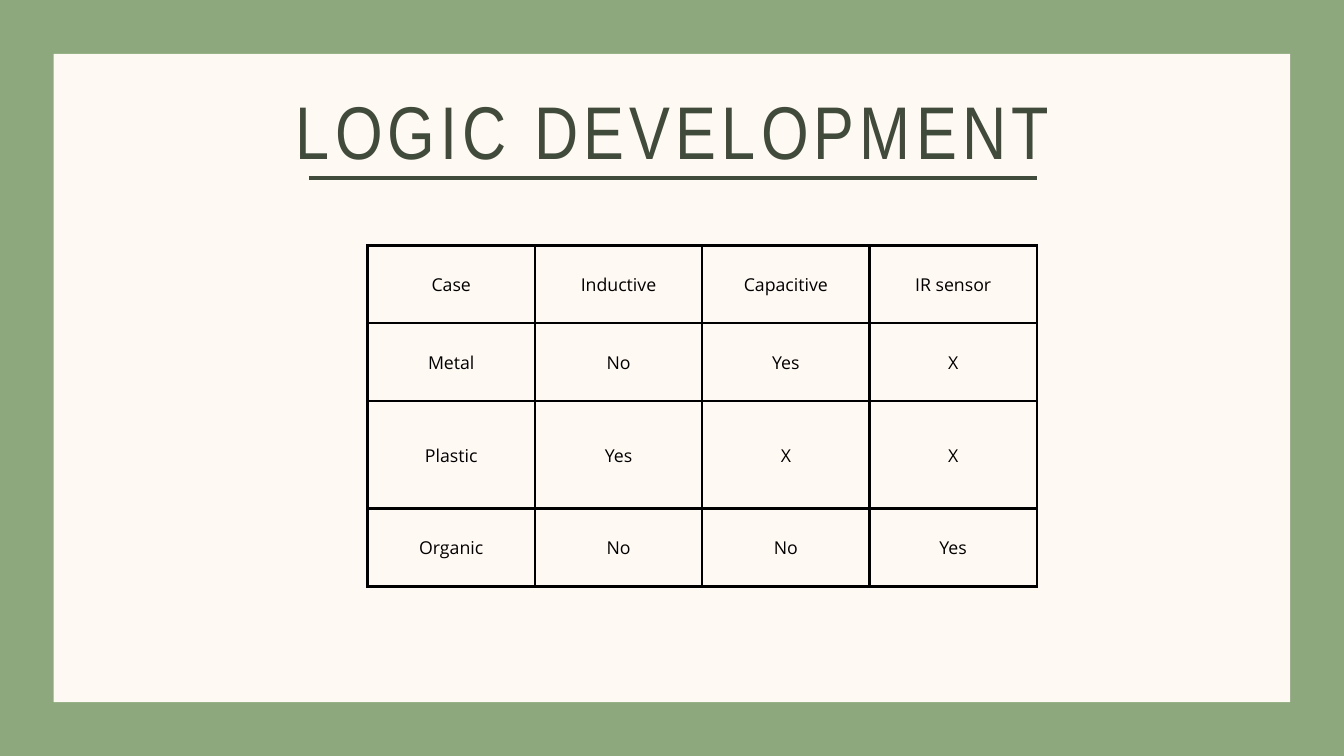
from lxml.etree import SubElement
from pptx import Presentation
from pptx.dml.color import RGBColor
from pptx.enum.shapes import MSO_CONNECTOR, MSO_SHAPE
from pptx.enum.text import MSO_ANCHOR, MSO_AUTO_SIZE, PP_ALIGN
from pptx.oxml.ns import qn
from pptx.util import Inches, Pt

COLORS = {"frame": "8CA87C", "panel": "FFF9F3", "title": "414B3B", "ink": "000000"}
CASES = [
    ["Case", "Inductive", "Capacitive", "IR sensor"],
    ["Metal", "No", "Yes", "X"],
    ["Plastic", "Yes", "X", "X"],
    ["Organic", "No", "No", "Yes"],
]
COLUMN_WIDTH = 2.49
ROW_HEIGHTS = [1.16, 1.16, 1.6, 1.16]


def color(name):
    return RGBColor.from_string(COLORS[name])


def set_margins(target, inches):
    target.margin_left = target.margin_right = Inches(inches)
    target.margin_top = target.margin_bottom = Inches(inches)


def write_centred(frame, text, font, size, ink, leading):
    para = frame.paragraphs[0]
    para.alignment = PP_ALIGN.CENTER
    para.line_spacing = Pt(leading)
    span = para.add_run()
    span.text = text
    span.font.name = font
    span.font.size = Pt(size)
    span.font.color.rgb = color(ink)
    return span


def add_panel(page):
    panel = page.shapes.add_shape(
        MSO_SHAPE.RECTANGLE, Inches(0.8), Inches(0.8), Inches(18.4), Inches(9.65))
    panel.shadow.inherit = False
    panel.fill.solid()
    panel.fill.fore_color.rgb = color("panel")
    panel.line.fill.background()


def add_title(page, text):
    box = page.shapes.add_textbox(Inches(3.64), Inches(1.4), Inches(12.75), Inches(1.23))
    frame = box.text_frame
    frame.word_wrap = True
    frame.auto_size = MSO_AUTO_SIZE.SHAPE_TO_FIT_TEXT
    set_margins(frame, 0)
    span = write_centred(frame, text, "Arial Narrow", 80, "title", 86.4)
    span.font._element.set("spc", "560")


def add_underline(page):
    rule = page.shapes.add_connector(
        MSO_CONNECTOR.STRAIGHT, Inches(4.6), Inches(2.65), Inches(15.43), Inches(2.65))
    rule.line.color.rgb = color("title")
    rule.line.width = Pt(3.75)
    SubElement(rule._element.spPr, qn("a:effectLst"))


def add_borders(cell, points):
    properties = cell._tc.get_or_add_tcPr()
    for side in ("lnL", "lnR", "lnT", "lnB"):
        line = SubElement(properties, qn(f"a:{side}"), w=str(Pt(points)))
        fill = SubElement(line, qn("a:solidFill"))
        SubElement(fill, qn("a:srgbClr"), val=COLORS["ink"])


def add_case_table(page):
    table = page.shapes.add_table(
        len(CASES), len(CASES[0]), Inches(5.47), Inches(3.65),
        Inches(COLUMN_WIDTH * len(CASES[0])), Inches(sum(ROW_HEIGHTS))).table
    table.first_row = table.horz_banding = False
    for column in table.columns:
        column.width = Inches(COLUMN_WIDTH)
    for row, height, values in zip(table.rows, ROW_HEIGHTS, CASES):
        row.height = Inches(height)
        for cell, value in zip(row.cells, values):
            set_margins(cell, 0.21)
            cell.vertical_anchor = MSO_ANCHOR.MIDDLE
            add_borders(cell, 3)
            cell.fill.background()
            write_centred(cell.text_frame, value, "Open Sans", 19, "ink", 26.6)


def main():
    deck = Presentation()
    deck.slide_width = Inches(20)
    deck.slide_height = Inches(11.25)
    page = deck.slides.add_slide(deck.slide_layouts[6])
    page.background.fill.solid()
    page.background.fill.fore_color.rgb = color("frame")
    add_panel(page)
    add_underline(page)
    add_title(page, "LOGIC DEVELOPMENT")
    add_case_table(page)
    deck.save("out.pptx")


if __name__ == "__main__":
    main()
